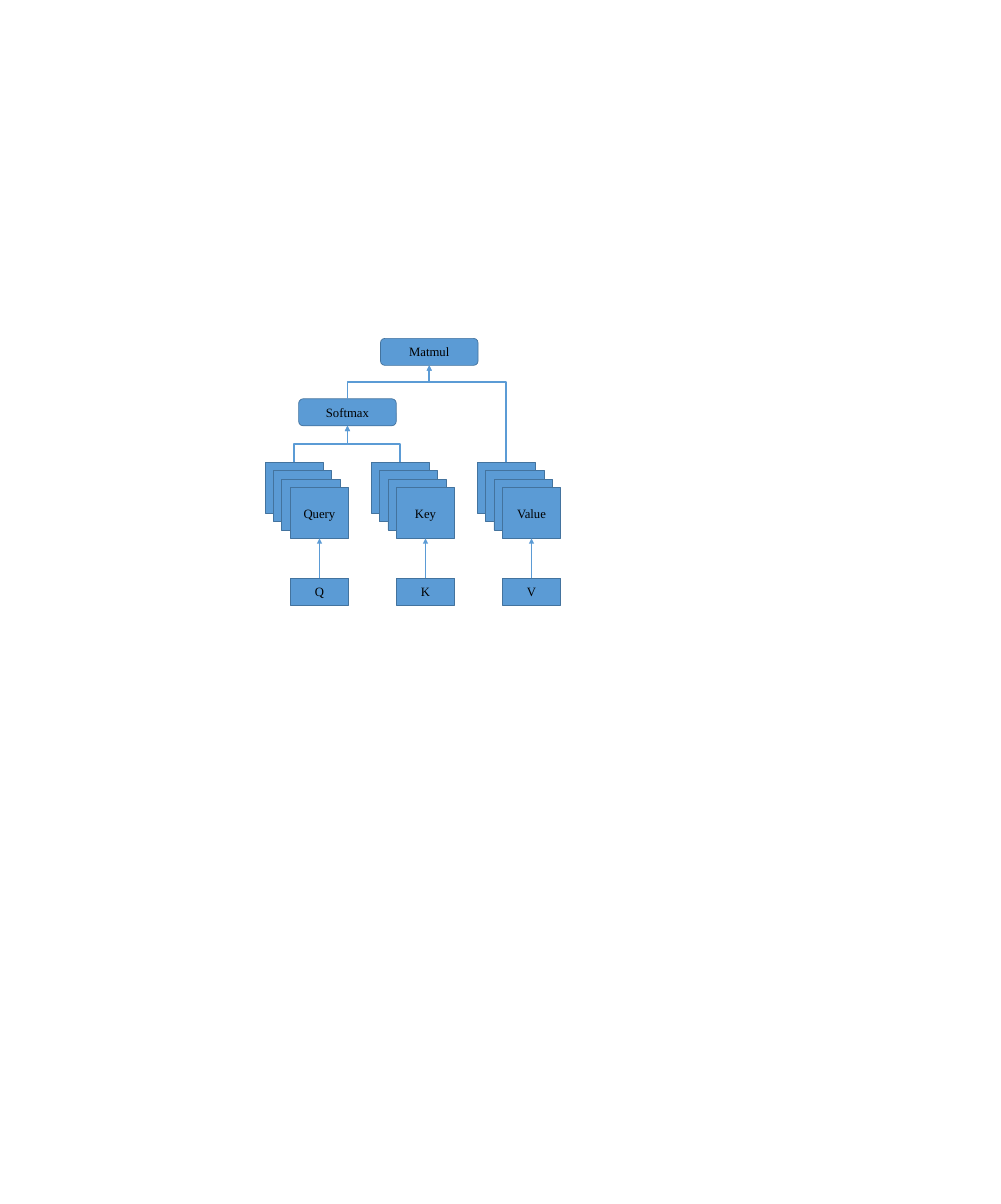
import pptx
import pptx.util
import pptx.dml.color
import pptx.enum.shapes
import pptx.enum.text
import pptx.oxml.ns
from lxml import etree

Cm, Pt = pptx.util.Cm, pptx.util.Pt
Kind = pptx.enum.shapes.MSO_SHAPE
Link = pptx.enum.shapes.MSO_CONNECTOR
qn = pptx.oxml.ns.qn

BLUE, EDGE, BLACK = "5B9BD5", "43739E", "000000"
TOP, BOTTOM = 0, 2  # connection sites
CARD_W, CARD_H, SHIFT, CARDS = 2.92, 2.54, 0.42, 4
BAR_W, BAR_H = 4.88, 1.35
PITCH = 5.3


def color(code):
    return pptx.dml.color.RGBColor.from_string(code)


def add_box(slide, kind, left, top, width, height, text=""):
    box = slide.shapes.add_shape(kind, Cm(left), Cm(top), Cm(width), Cm(height))
    box.shadow.inherit = False
    box.fill.solid()
    box.fill.fore_color.rgb = color(BLUE)
    box.line.color.rgb = color(EDGE)
    box.line.width = Pt(1)
    if text:
        frame = box.text_frame
        frame.text = text
        frame.vertical_anchor = pptx.enum.text.MSO_ANCHOR.MIDDLE
        para = frame.paragraphs[0]
        para.alignment = pptx.enum.text.PP_ALIGN.CENTER
        para.font.name = "Times New Roman"
        para.font.size = Pt(18)
        para.font.color.rgb = color(BLACK)
    return box


def turn(link, bend):
    """Stand an elbow upright so that it leaves and arrives vertically."""
    x1, y1, x2, y2 = link.begin_x, link.begin_y, link.end_x, link.end_y
    wide, high = abs(x2 - x1), abs(y2 - y1)
    link.left = (x1 + x2 - high) // 2
    link.top = (y1 + y2 - wide) // 2
    link.width, link.height = high, wide
    right = x2 > x1
    link.rotation = 90 if right else 270
    props = link._element.spPr
    frame = props.find(qn("a:xfrm"))
    frame.set("flipH", "1" if right else "0")
    frame.set("flipV", "1")
    guides = props.find(qn("a:prstGeom")).find(qn("a:avLst"))
    etree.SubElement(guides, qn("a:gd"), name="adj1", fmla=f"val {round(bend * 100000)}")


def add_arrow(slide, start, end, bend=None):
    """Arrow from the top of start to the bottom of end."""
    kind = Link.STRAIGHT if bend is None else Link.ELBOW
    link = slide.shapes.add_connector(kind, 0, 0, 0, 0)
    link.begin_connect(start, TOP)
    link.end_connect(end, BOTTOM)
    if bend is not None:
        turn(link, bend)
    link.line.color.rgb = color(BLUE)
    link.line.width = Pt(2.5)
    props = link._element.spPr
    etree.SubElement(props.find(qn("a:ln")), qn("a:tailEnd"), type="triangle")
    etree.SubElement(props, qn("a:effectLst"))


def add_stack(slide, left, top, name, source):
    """Stack of cards with its input below; returns the rear card."""
    cards = []
    for i in range(CARDS):
        label = name if i == CARDS - 1 else ""
        cards.append(add_box(slide, Kind.RECTANGLE, left + i * SHIFT, top + i * SHIFT,
                             CARD_W, CARD_H, label))
    entry = add_box(slide, Kind.RECTANGLE, left + (CARDS - 1) * SHIFT, top + 5.79,
                    CARD_W, BAR_H, source)
    add_arrow(slide, entry, cards[-1])
    return cards[0]


def add_diagram(slide, left, top):
    # Inputs and their stacks
    names = [("Query", "Q"), ("Key", "K"), ("Value", "V")]
    query, key, value = [
        add_stack(slide, left + i * PITCH, top + 6.2, name, source)
        for i, (name, source) in enumerate(names)
    ]

    # Operations
    softmax = add_box(slide, Kind.ROUNDED_RECTANGLE, left + 1.68, top + 3.02,
                      BAR_W, BAR_H, "Softmax")
    matmul = add_box(slide, Kind.ROUNDED_RECTANGLE, left + 5.77, top,
                     BAR_W, BAR_H, "Matmul")

    # Flow upwards
    add_arrow(slide, query, softmax, 0.5)
    add_arrow(slide, key, softmax, 0.5)
    add_arrow(slide, value, matmul, 0.825)
    add_arrow(slide, softmax, matmul, 0.5)


def main():
    deck = pptx.Presentation()
    deck.slide_width, deck.slide_height = Cm(50.04), Cm(60.2)
    slide = deck.slides.add_slide(deck.slide_layouts[6])
    add_diagram(slide, 13.25, 16.92)
    deck.save("out.pptx")


if __name__ == "__main__":
    main()
